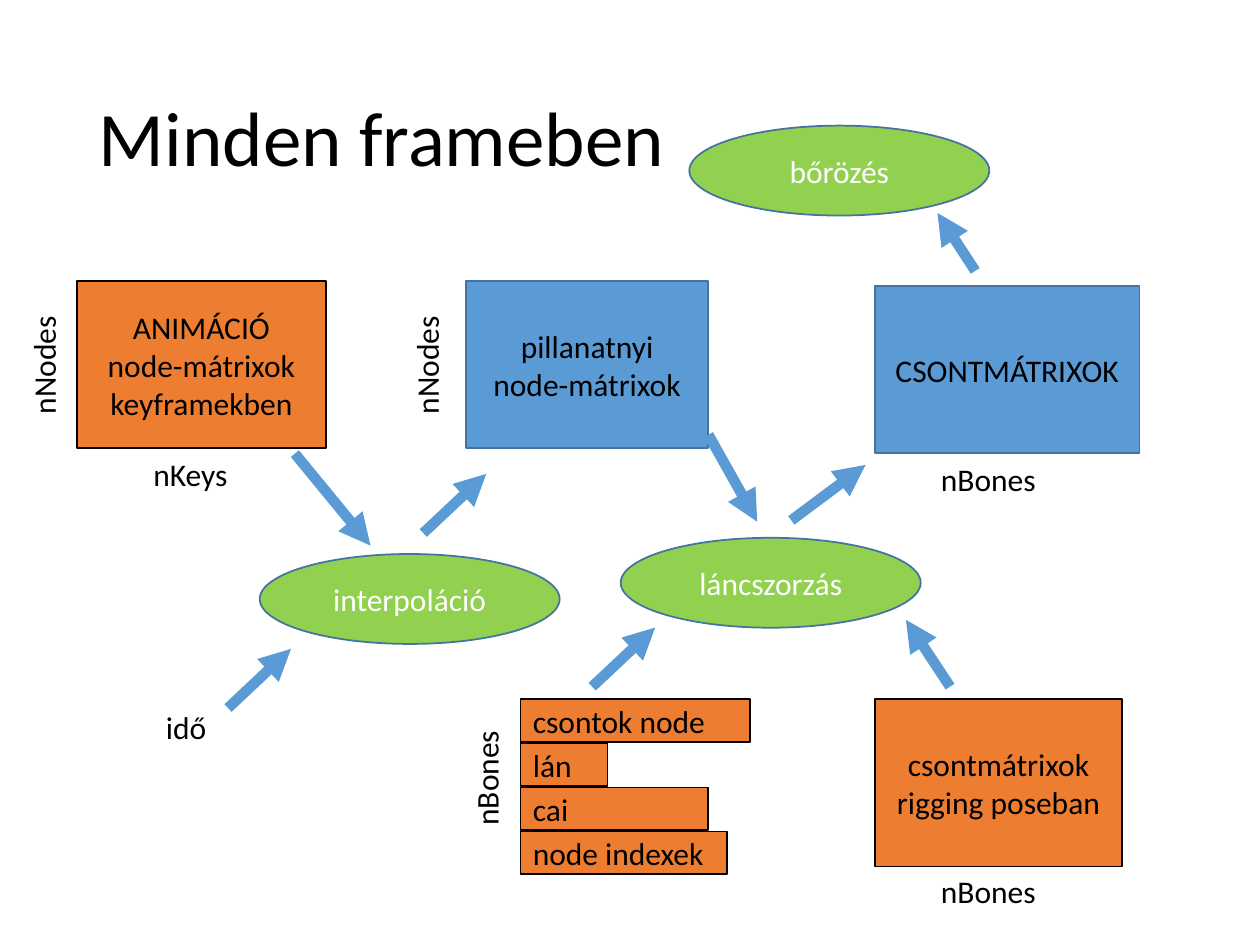
from dataclasses import dataclass

from lxml import etree
from pptx import Presentation
from pptx.dml.color import RGBColor
from pptx.enum.shapes import MSO_CONNECTOR, MSO_SHAPE as SHAPE
from pptx.enum.text import MSO_ANCHOR as ANCHOR, MSO_AUTO_SIZE as AUTO, PP_ALIGN as ALIGN
from pptx.oxml.ns import qn
from pptx.util import Pt

BLACK, WHITE = "000000", "FFFFFF"
ORANGE, BLUE, GREEN, EDGE = "ED7D31", "5B9BD5", "92D050", "43739E"


@dataclass
class Node:
    text: str
    x: float
    y: float
    w: float
    h: float
    fill: str
    line: str = EDGE
    color: str = BLACK
    kind: int = SHAPE.RECTANGLE
    align: int = ALIGN.CENTER


@dataclass
class Label:
    text: str
    x: float
    y: float
    w: float
    h: float = 29
    rotation: float = 0


@dataclass
class Arrow:
    x1: float
    y1: float
    x2: float
    y2: float


def rgb(value: str) -> RGBColor:
    return RGBColor.from_string(value)


def write(tf, text: str, color: str = BLACK, size: float = 18, **paragraph_format) -> None:
    tf.text = text
    for p in tf.paragraphs:
        for name, value in paragraph_format.items():
            setattr(p, name, value)
        for r in p.runs:
            for name, value in {"name": "Calibri", "size": Pt(size)}.items():
                setattr(r.font, name, value)
            r.font.color.rgb = rgb(color)


def set_frame(tf, **frame_format) -> None:
    for name, value in frame_format.items():
        setattr(tf, name, value)


def draw_node(s, n: Node) -> None:
    sp = s.shapes.add_shape(n.kind, Pt(n.x), Pt(n.y), Pt(n.w), Pt(n.h))
    sp.shadow.inherit = False
    sp.fill.solid()
    sp.fill.fore_color.rgb = rgb(n.fill)
    sp.line.color.rgb = rgb(n.line)
    sp.line.width = Pt(1)
    set_frame(sp.text_frame, word_wrap=True, vertical_anchor=ANCHOR.MIDDLE)
    write(sp.text_frame, n.text, n.color, alignment=n.align)


def draw_label(s, n: Label) -> None:
    sp = s.shapes.add_textbox(Pt(n.x), Pt(n.y), Pt(n.w), Pt(n.h))
    sp.rotation = n.rotation
    set_frame(sp.text_frame, word_wrap=False, auto_size=AUTO.SHAPE_TO_FIT_TEXT)
    write(sp.text_frame, n.text)


def draw_arrow(s, a: Arrow) -> None:
    sp = s.shapes.add_connector(MSO_CONNECTOR.STRAIGHT, Pt(a.x1), Pt(a.y1), Pt(a.x2), Pt(a.y2))
    sp.line.color.rgb = rgb(BLUE)
    sp.line.width = Pt(6)
    etree.SubElement(sp.line._get_or_add_ln(), qn("a:tailEnd"), type="triangle")
    etree.SubElement(sp._element.spPr, qn("a:effectLst"))


def draw_title(s, text: str) -> None:
    sp = s.shapes.add_textbox(Pt(49.5), Pt(28.8), Pt(621), Pt(104.4))
    set_frame(sp.text_frame, word_wrap=True, vertical_anchor=ANCHOR.MIDDLE)
    write(sp.text_frame, text, size=44, line_spacing=0.9)


# Data blocks
BLOCK_H = 95.75
blocks = [
    Node("ANIMÁCIÓ\nnode-mátrixok\nkeyframekben", 43.8, 160.5, 142.6, BLOCK_H, ORANGE, BLACK),
    Node("pillanatnyi\nnode-mátrixok", 266.2, 160.5, 138.6, BLOCK_H, BLUE),
    Node("CSONTMÁTRIXOK", 500, 163.3, 151.2, BLOCK_H, BLUE),
    Node("csontmátrixok\nrigging poseban", 500, 399.5, 141.2, BLOCK_H, ORANGE, BLACK),
]

# Bone chains: stacked bars of differing width
chains = [("csontok node", 131), ("lán", 49.7), ("cai", 107.3), ("node indexek", 118.1)]
bars = [
    Node(text, 297.4, 399.6 + i * 25.2, width, 24.5, ORANGE, BLACK, align=ALIGN.LEFT)
    for i, (text, width) in enumerate(chains)
]

# Operations
operations = [
    Node(text, x, y, 171.4, 51.4, GREEN, color=WHITE, kind=SHAPE.OVAL)
    for text, x, y in [
        ("interpoláció", 148.4, 316.6),
        ("láncszorzás", 354.7, 307.3),
        ("bőrözés", 393.9, 71.8),
    ]
]

# Dimension labels and the time input
labels = [
    Label("nNodes", -10.8, 193.7, 71.3, rotation=270),
    Label("nNodes", 208.1, 193.7, 71.3, rotation=270),
    Label("nBones", 243.4, 429.8, 69.1, rotation=270),
    Label("nKeys", 80.6, 256.3, 57.6),
    Label("nBones", 530.6, 259.2, 69.1),
    Label("nBones", 530.6, 494.6, 69.1),
    Label("idő", 87.8, 401, 38.2),
]

# Data flow; three arrows share one slope
RISE_X, RISE_Y = 36, -33.8
arrows = [
    Arrow(x, y, x + RISE_X, y + RISE_Y)
    for x, y in [(241.9, 304.6), (338.4, 392.4), (130.3, 404.6)]
] + [
    Arrow(168.5, 259.2, 211.7, 311.8),
    Arrow(542.9, 392.4, 517.7, 354.2),
    Arrow(404.8, 248.4, 432.7, 298.1),
    Arrow(452.2, 297.4, 494.6, 265.7),
    Arrow(557.3, 154.8, 535.7, 121.7),
]


def main() -> None:
    prs = Presentation()
    prs.slide_width, prs.slide_height = Pt(720), Pt(540)
    s = prs.slides.add_slide(prs.slide_layouts[6])
    draw_title(s, "Minden frameben")
    for node in blocks + bars + operations:
        draw_node(s, node)
    for label in labels:
        draw_label(s, label)
    for arrow in arrows:
        draw_arrow(s, arrow)
    prs.save("out.pptx")


if __name__ == "__main__":
    main()
